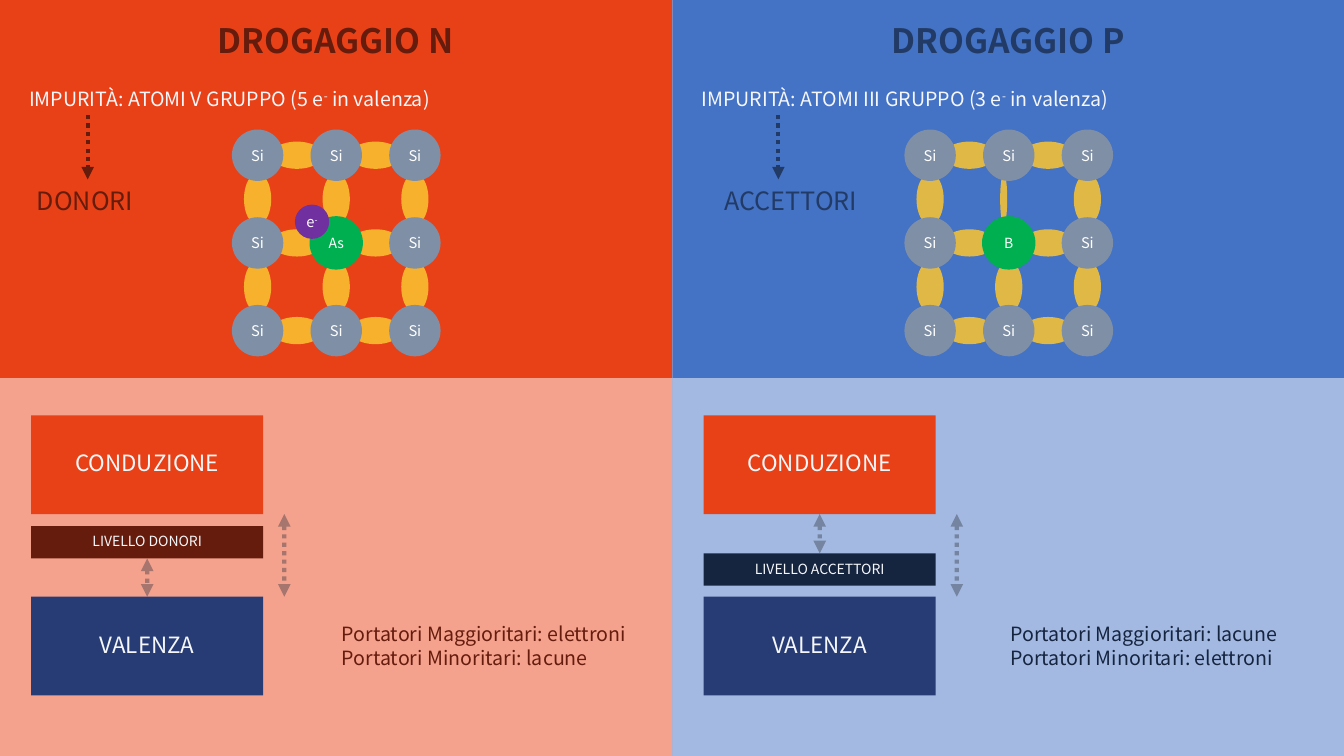
from dataclasses import dataclass

from lxml import etree
from pptx import Presentation
from pptx.dml.color import RGBColor
from pptx.enum.dml import MSO_LINE
from pptx.enum.shapes import MSO_CONNECTOR, MSO_SHAPE
from pptx.enum.text import MSO_ANCHOR, MSO_AUTO_SIZE, PP_ALIGN
from pptx.oxml.ns import qn
from pptx.util import Inches, Pt

ROUND_DOT = MSO_LINE.ROUND_DOT
STRAIGHT = MSO_CONNECTOR.STRAIGHT
RECTANGLE, OVAL = MSO_SHAPE.RECTANGLE, MSO_SHAPE.OVAL
TOP, MIDDLE = MSO_ANCHOR.TOP, MSO_ANCHOR.MIDDLE
NO_AUTOSIZE = MSO_AUTO_SIZE.NONE
LEFT, CENTER = PP_ALIGN.LEFT, PP_ALIGN.CENTER

FONT = "Noto Sans CJK JP"
WHITE, PALE, ORANGE, NAVY = "FFFFFF", "F5F7FA", "E94117", "273C75"
YELLOW, SILICON, IMPURITY, ELECTRON = "FBC530", "7F8FA6", "00B050", "7030A0"
GAP_ARROW = "2F3540"
PANEL_WIDTH, PANEL_HEIGHT, HALF_HEIGHT = 6.67, 7.5, 3.75
ATOM, IMPURITY_ATOM, ELECTRON_SIZE = 0.51, 0.53, 0.34
BOND_LENGTH, BOND_WIDTH, BROKEN_BOND_WIDTH = 0.51, 0.27, 0.07
COLUMN_STEP, ROW_STEP = 0.78, 0.87
BAND_LEFT, BAND_WIDTH, BAND_HEIGHT, LEVEL_HEIGHT = 0.31, 2.3, 0.98, 0.32
CONDUCTION_TOP, VALENCE_TOP = 4.12, 5.92


@dataclass
class Doping:
    """Everything that differs between the two kinds of doping."""
    title: str
    background: str
    dark: str
    darkest: str
    impurity_text: str
    role: str
    role_center: float
    arrow_x: float
    atom: str
    electron: bool
    level: str
    level_top: float
    gap_arrow: tuple
    carriers: list
    carriers_left: float


DOPINGS = [
    Doping("DROGAGGIO N", ORANGE, "651C0D", "651C0D",
           "IMPURITÀ: ATOMI V GRUPPO (5 e|-| in valenza)", "DONORI", 0.85, 0.87,
           "As", True, "LIVELLO DONORI", 5.22, (1.46, 5.54, 5.92),
           ["Portatori Maggioritari: elettroni", "Portatori Minoritari: lacune"], 3.39),
    Doping("DROGAGGIO P", "4472C4", "223B66", "15243F",
           "IMPURITÀ: ATOMI III GRUPPO (3 e|-| in valenza)", "ACCETTORI", 1.18, 1.05,
           "B", False, "LIVELLO ACCETTORI", 5.49, (1.46, 5.1, 5.49),
           ["Portatori Maggioritari: lacune", "Portatori Minoritari: elettroni"], 3.35),
]


def color(value):
    """Turn a hex string into a colour."""
    return RGBColor.from_string(value)


def set_alpha(shape, percent):
    """Set the opacity of the first solid colour of a shape."""
    solid = next(shape.element.iter(qn("a:srgbClr")))
    etree.SubElement(solid, qn("a:alpha")).set("val", str(percent * 1000))


def write(shape, lines, size, font_color, align=CENTER, anchor=MIDDLE,
          margin=0, bold=False, line_spacing=1.0):
    """Fill a shape with lines in which every second part between bars is raised."""
    frame = shape.text_frame
    frame.word_wrap = True
    frame.auto_size = NO_AUTOSIZE
    frame.vertical_anchor = anchor
    frame.margin_left = frame.margin_right = Inches(margin)
    frame.margin_top = frame.margin_bottom = Inches(margin / 2)
    frame.text = "\n".join([""] * len(lines))
    for paragraph, line in zip(frame.paragraphs, lines):
        paragraph.alignment = align
        paragraph.line_spacing = line_spacing
        paragraph.space_before = Pt(0)
        for index, part in enumerate(line.split("|")):
            run = paragraph.add_run()
            run.text = part
            run.font.name = FONT
            run.font.size = Pt(size)
            run.font.bold = bold
            run.font.color.rgb = color(font_color)
            if index % 2:
                run._r.get_or_add_rPr().set("baseline", "30000")


def add_filled(slide, kind, left, top, width, height, fill, alpha=None):
    """Add a plain filled shape without outline or shadow."""
    shape = slide.shapes.add_shape(kind, Inches(left), Inches(top), Inches(width), Inches(height))
    shape.shadow.inherit = False
    shape.fill.solid()
    shape.fill.fore_color.rgb = color(fill)
    shape.line.fill.background()
    if alpha:
        set_alpha(shape, alpha)
    return shape


def add_circle(slide, x, y, width, height, fill, label=None, size=10.5, alpha=None):
    """Add an ellipse around a centre point, with an optional label."""
    shape = add_filled(slide, OVAL, x - width / 2, y - height / 2, width, height, fill, alpha)
    if label:
        write(shape, [label], size, WHITE)


def add_label(slide, left, top, width, height, text, size, font_color, **options):
    """Add a one-line text box."""
    box = slide.shapes.add_textbox(Inches(left), Inches(top), Inches(width), Inches(height))
    write(box, [text], size, font_color, margin=0.1, **options)


def place(slide, placeholder, left, top, width, height):
    """Move a placeholder to a box and bring it to the front."""
    placeholder.left, placeholder.top = Inches(left), Inches(top)
    placeholder.width, placeholder.height = Inches(width), Inches(height)
    slide.shapes.element.append(placeholder.element)


def add_arrow(slide, x, top, bottom, line_color, alpha=None):
    """Add a dotted vertical arrow, double-headed when it is translucent."""
    arrow = slide.shapes.add_connector(STRAIGHT, Inches(x), Inches(top), Inches(x), Inches(bottom))
    arrow.line.color.rgb = color(line_color)
    arrow.line.width = Pt(3)
    arrow.line.dash_style = ROUND_DOT
    line = arrow.line._get_or_add_ln()
    if alpha:
        set_alpha(arrow, alpha)
        etree.SubElement(line, qn("a:headEnd")).set("type", "triangle")
    etree.SubElement(line, qn("a:tailEnd")).set("type", "triangle")
    etree.SubElement(line.getparent(), qn("a:effectLst"))


def add_lattice(slide, x, y, doping):
    """Draw the three by three crystal lattice around a centre point."""
    columns = [x + step * COLUMN_STEP for step in (-1, 0, 1)]
    rows = [y + step * ROW_STEP for step in (-1, 0, 1)]
    for row in rows:
        for column in columns[:2]:
            add_circle(slide, column + COLUMN_STEP / 2, row, BOND_LENGTH, BOND_WIDTH, YELLOW, alpha=85)
    for row in rows[:2]:
        for column in columns:
            broken = not doping.electron and column == x and row == rows[0]
            width = BROKEN_BOND_WIDTH if broken else BOND_WIDTH
            shift = -0.05 if broken else 0
            add_circle(slide, column + shift, row + ROW_STEP / 2, width, BOND_LENGTH, YELLOW, alpha=85)
    for row in rows:
        for column in columns:
            if (column, row) != (x, y):
                add_circle(slide, column, row, ATOM, ATOM, SILICON, "Si")
    add_circle(slide, x, y, IMPURITY_ATOM, IMPURITY_ATOM, IMPURITY, doping.atom, 10)
    if doping.electron:
        add_circle(slide, x - 0.24, y - 0.21, ELECTRON_SIZE, ELECTRON_SIZE, ELECTRON, "e|-")


def add_bands(slide, left, doping):
    """Draw the energy bands, the impurity level and the gap arrows."""
    bands = [("CONDUZIONE", CONDUCTION_TOP, BAND_HEIGHT, ORANGE, 16),
             ("VALENZA", VALENCE_TOP, BAND_HEIGHT, NAVY, 16),
             (doping.level, doping.level_top, LEVEL_HEIGHT, doping.darkest, 10)]
    for text, top, height, fill, size in bands:
        band = add_filled(slide, RECTANGLE, left + BAND_LEFT, top, BAND_WIDTH, height, fill)
        write(band, [text], size, PALE, line_spacing=0.9)
    x, top, bottom = doping.gap_arrow
    add_arrow(slide, left + x, top, bottom, GAP_ARROW, 40)
    add_arrow(slide, left + 2.82, CONDUCTION_TOP + BAND_HEIGHT, VALENCE_TOP, GAP_ARROW, 40)


def add_carriers(slide, placeholder, left, doping):
    """Fill a body placeholder with the majority and minority carriers."""
    place(slide, placeholder, left + doping.carriers_left, 6.17, 3.01, 0.47)
    write(placeholder, doping.carriers, 14, doping.darkest, LEFT, TOP)
    for properties in placeholder.element.iter(qn("a:pPr")):
        properties.set("marL", "0")
        properties.set("indent", "0")
        etree.SubElement(properties, qn("a:buNone"))


def add_panel(slide, left, doping, body):
    """Draw one half of the slide from its left edge."""
    add_filled(slide, RECTANGLE, left, 0, PANEL_WIDTH, PANEL_HEIGHT, doping.background)
    add_filled(slide, RECTANGLE, left, HALF_HEIGHT, PANEL_WIDTH, HALF_HEIGHT, WHITE, 51)
    add_label(slide, left + 0.19, 0.81, 4.88, 0.34, doping.impurity_text, 14, PALE, align=LEFT, anchor=TOP)
    add_label(slide, left + doping.role_center - 1.02, 1.79, 2.03, 0.4, doping.role, 18, doping.dark)
    add_arrow(slide, left + doping.arrow_x, 1.14, 1.78, doping.dark)
    add_lattice(slide, left + PANEL_WIDTH / 2, 2.41, doping)
    add_bands(slide, left, doping)
    add_carriers(slide, body, left, doping)


def main():
    """Build the slide and save it."""
    presentation = Presentation()
    presentation.slide_width, presentation.slide_height = Inches(13.33), Inches(7.5)
    slide = presentation.slides.add_slide(presentation.slide_layouts[3])
    title, *bodies = list(slide.placeholders)
    for index, (doping, body) in enumerate(zip(DOPINGS, bodies)):
        add_panel(slide, index * PANEL_WIDTH, doping, body)
    first, second = DOPINGS
    place(slide, title, 1.73, 0.15, 3.2, 0.5)
    write(title, [first.title], 24, first.dark, bold=True)
    add_label(slide, PANEL_WIDTH + 1.73, 0.15, 3.2, 0.5, second.title, 24, second.dark, bold=True)
    presentation.save("out.pptx")


if __name__ == "__main__":
    main()
